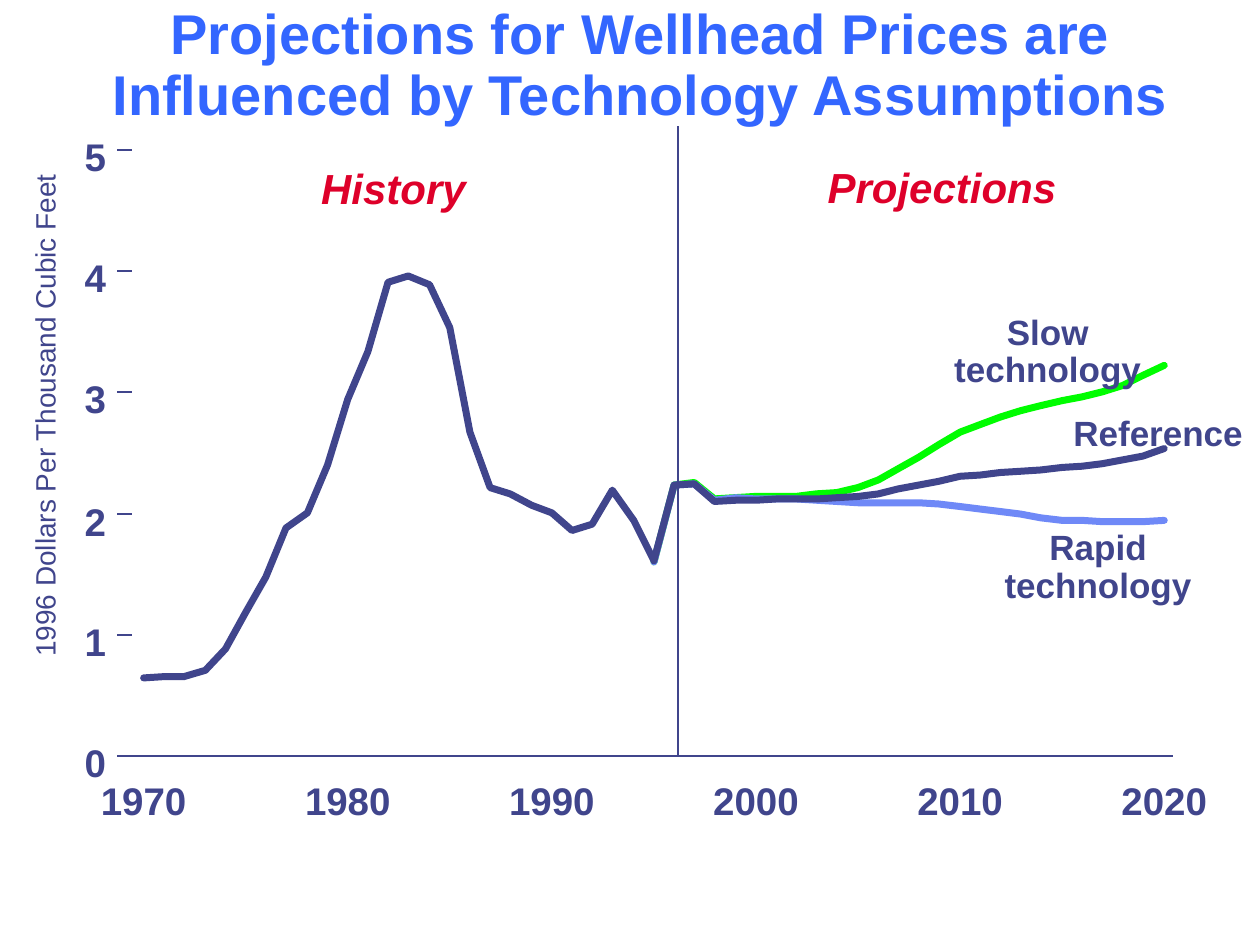
from dataclasses import dataclass

import pptx
import pptx.dml.color
import pptx.enum.text
import pptx.util
from lxml import etree
from pptx.oxml.ns import qn

PX = 9144  # 100 px to the inch
COLORS = {"title": "3366FF", "navy": "40458C", "red": "DE002A",
          "green": "00FD00", "blue": "6F89F7"}
ALIGN = pptx.enum.text.PP_ALIGN

BASE = 600    # y of the zero price
STEP = 96.2   # px per dollar
LEFT = 114    # x of 1970
YEAR = 16.19  # px per year


@dataclass
class Label:
    text: str
    x: int
    y: int
    w: int
    h: int
    size: int = 22
    color: str = "navy"
    align: ALIGN = ALIGN.CENTER
    bold: bool = True
    italic: bool = False
    space: float = 1.0
    turn: int = 0
    wrap: bool = False


@dataclass
class Curve:
    color: str
    start: int
    cents: list[int]


@dataclass
class Rule:
    x1: int
    y1: int
    x2: int
    y2: int


def px(n: float) -> int:
    return round(n) * PX


def year_x(year: int) -> int:
    return round(LEFT + (year - 1970) * YEAR)


def price_y(price: float) -> int:
    return round(BASE - price * STEP)


def paint(name: str) -> pptx.dml.color.RGBColor:
    return pptx.dml.color.RGBColor.from_string(COLORS[name])


def add_label(slide, item: Label) -> None:
    box = slide.shapes.add_textbox(px(item.x), px(item.y), px(item.w), px(item.h))
    box.rotation = item.turn
    frame = box.text_frame
    frame.word_wrap = item.wrap
    frame.text = item.text
    for par in frame.paragraphs:
        par.alignment = item.align
        par.line_spacing = item.space
        for run in par.runs:
            font = run.font
            font.name = "Arial"
            font.size = pptx.util.Pt(item.size)
            font.bold = item.bold
            font.italic = item.italic
            font.color.rgb = paint(item.color)


def add_curve(slide, item: Curve) -> None:
    dots = [(px(year_x(item.start + i)), px(price_y(cent / 100)))
            for i, cent in enumerate(item.cents)]
    pen = slide.shapes.build_freeform(*dots[0])
    pen.add_line_segments(dots[1:], close=False)
    shape = pen.convert_to_shape()
    shape.shadow.inherit = False
    shape.fill.background()
    shape.line.color.rgb = paint(item.color)
    shape.line.width = pptx.util.Pt(4)
    edge = shape.line._get_or_add_ln()
    edge.set("cap", "rnd")
    etree.SubElement(edge, qn("a:round"))


def add_rule(slide, item: Rule) -> None:
    line = slide.shapes.add_connector(
        pptx.enum.shapes.MSO_CONNECTOR.STRAIGHT,
        px(item.x1), px(item.y1), px(item.x2), px(item.y2))
    line.line.color.rgb = paint("navy")
    line.line.width = pptx.util.Pt(1)
    etree.SubElement(line._element.spPr, qn("a:effectLst"))


CURVES = [
    Curve("green", 1995, [
        160, 223, 226, 212, 213, 214, 214, 214, 216, 217, 221, 228, 237,
        246, 257, 267, 273, 280, 285, 289, 293, 296, 300, 306, 314, 322]),
    Curve("blue", 1995, [
        160, 223, 225, 211, 213, 212, 212, 212, 211, 210, 209, 209, 209,
        209, 208, 206, 204, 202, 200, 196, 194, 194, 193, 193, 193, 194]),
    Curve("navy", 1970, [
        64, 65, 65, 71, 88, 118, 148, 188, 201, 240, 294, 334, 391, 396, 389,
        353, 267, 221, 216, 207, 201, 186, 191, 219, 194, 161, 223, 225, 210,
        211, 211, 212, 212, 212, 213, 214, 216, 220, 223, 227, 231, 232, 234,
        235, 236, 238, 239, 241, 244, 247, 254]),
]
TITLE = Label("Projections for Wellhead Prices are Influenced by Technology Assumptions",
              58, 0, 901, 106, 32, "title", space=0.9, wrap=True)
NOTES = [
    Label("Reference", 842, 322, 155, 43, 20, align=ALIGN.LEFT),
    Label("History", 245, 124, 135, 50, 24, "red", ALIGN.LEFT, italic=True),
    Label("Projections", 647, 123, 202, 50, 24, "red", ALIGN.LEFT, italic=True),
    Label("Slow\ntechnology", 747, 245, 169, 70, 20, space=0.9),
    Label("Rapid\ntechnology", 787, 416, 169, 70, 20, space=0.9),
    Label("1996 Dollars Per Thousand Cubic Feet", -176, 301, 423, 37, 16,
          align=ALIGN.LEFT, bold=False, turn=270, wrap=True),
]


def main() -> None:
    deck = pptx.Presentation()
    deck.slide_width, deck.slide_height = px(1000), px(750)
    slide = deck.slides.add_slide(deck.slide_layouts[6])

    add_label(slide, TITLE)
    for curve in CURVES:
        add_curve(slide, curve)

    for price in range(6):
        y = price_y(price)
        add_rule(slide, Rule(93, y, 105, y))
        add_label(slide, Label(str(price), 57, y - 18, 37, 47, align=ALIGN.RIGHT))
    add_rule(slide, Rule(105, BASE, 931, BASE))
    for year in range(1970, 2021, 10):
        add_label(slide, Label(str(year), year_x(year) - 44, 612, 88, 47))

    for note in NOTES:
        add_label(slide, note)
    add_rule(slide, Rule(538, 100, 538, BASE))
    deck.save("out.pptx")


if __name__ == "__main__":
    main()
